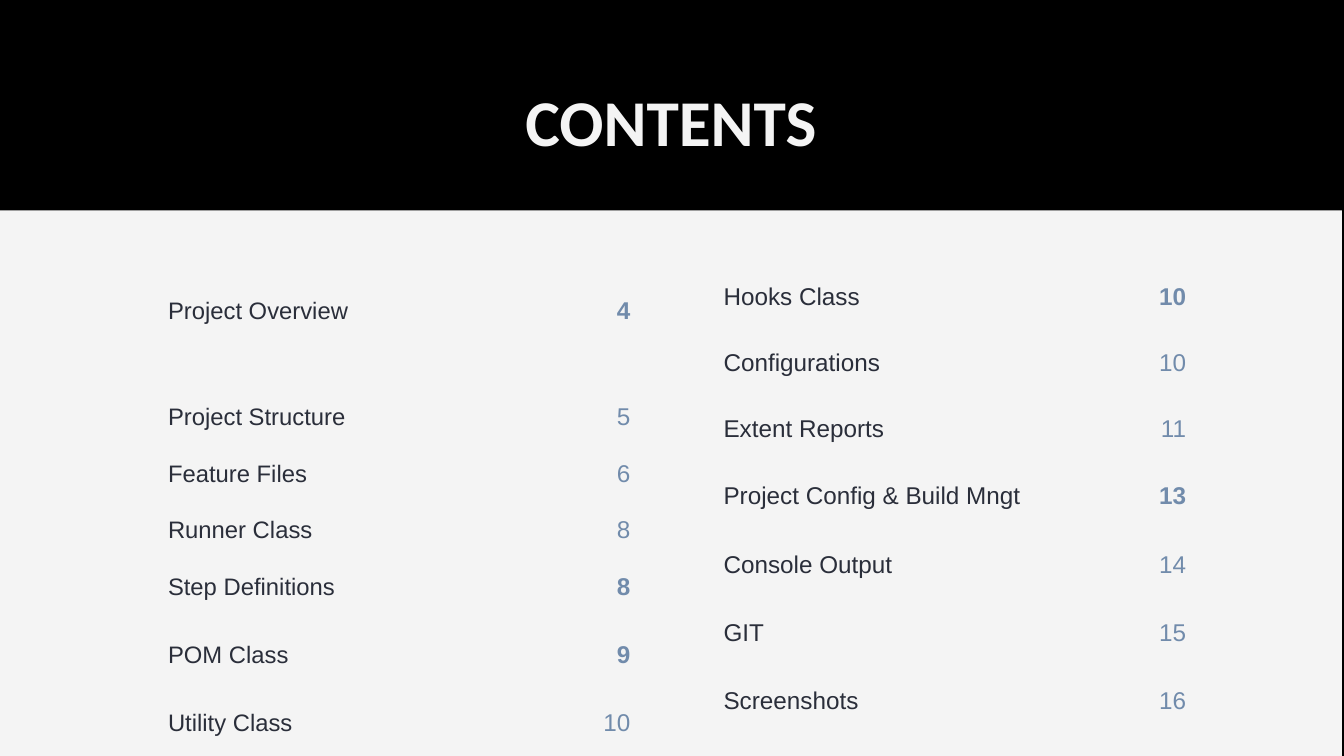
from lxml.etree import SubElement
from pptx import Presentation
from pptx.dml.color import RGBColor
from pptx.enum.shapes import MSO_SHAPE
from pptx.enum.text import MSO_ANCHOR, PP_ALIGN
from pptx.oxml.ns import qn
from pptx.util import Cm, Pt

PANEL = "F4F4F4"
INK = "2A2E3A"
BLUE = "718BAB"
WIDTH = 50.72

LEFT_ROWS = [
    (5.87, [("Project Overview", "4", True)]),
    (1.91, [("Project Structure", "5", False)]),
    (1.91, [("Feature Files", "6", False)]),
    (1.91, [("Runner Class", "8", False)]),
    (6.68, [("Step Definitions", "8", True), ("POM Class", "9", True),
            ("Utility Class", "10", False)]),
]
RIGHT_ROWS = [
    (2.51, [("Hooks Class", "10", True)]),
    (2.51, [("Configurations", "10", False)]),
    (2.51, [("Extent Reports", "11", False)]),
    (2.51, [("Project Config & Build Mngt", "13", True)]),
    (7.87, [("Console Output", "14", False), ("GIT", "15", False),
            ("Screenshots", "16", False)]),
]


def rgb(value):
    """Turn a hex string into a colour."""
    return RGBColor.from_string(value)


def style(p, name, size, color, bold, align, spacing):
    """Format a whole paragraph."""
    p.alignment = align
    p.line_spacing = Pt(spacing)
    p.font.name = name
    p.font.size = Pt(size)
    p.font.bold = bold
    p.font.color.rgb = rgb(color)


def add_title(s, text):
    """Place the slide title in the dark band."""
    sp = s.shapes.title
    sp.left, sp.top, sp.width, sp.height = Cm(0), Cm(2.82), Cm(WIDTH), Cm(3.18)
    tf = sp.text_frame
    tf.margin_left = tf.margin_top = tf.margin_right = tf.margin_bottom = 0
    tf.vertical_anchor = MSO_ANCHOR.TOP
    tf.text = text
    style(tf.paragraphs[0], "Calibri", 70, PANEL, True, PP_ALIGN.CENTER, 91)


def add_panel(s):
    """Draw the light panel below the title band."""
    sp = s.shapes.add_shape(MSO_SHAPE.RECTANGLE, 0, Cm(7.95), Cm(WIDTH), Cm(20.65))
    sp.shadow.inherit = False
    sp.fill.solid()
    sp.fill.fore_color.rgb = rgb(PANEL)
    sp.line.fill.background()


def set_borders(cell, color):
    """Give a cell thin borders on all four sides."""
    tcPr = cell._tc.get_or_add_tcPr()
    for side in ("a:lnL", "a:lnR", "a:lnT", "a:lnB"):
        ln = SubElement(tcPr, qn(side), w=str(Pt(0.75)))
        fill = SubElement(ln, qn("a:solidFill"))
        SubElement(fill, qn("a:srgbClr"), val=color)


def fill_cell(cell, lines, size, color, align):
    """Write (text, bold) lines into a cell, one paragraph each."""
    set_borders(cell, PANEL)
    cell.fill.background()
    cell.vertical_anchor = MSO_ANCHOR.MIDDLE
    cell.margin_left = cell.margin_right = Cm(0.43)
    cell.margin_top = cell.margin_bottom = Cm(0.43)
    tf = cell.text_frame
    for i, (text, bold) in enumerate(lines):
        p = tf.add_paragraph() if i else tf.paragraphs[0]
        p.text = text
        style(p, "Arial", size, color, bold, align, 36.4)
        if i:
            p.space_before = Pt(36.4)


def add_contents(s, left, top, rows, size):
    """Add one table of topics and page numbers."""
    widths = (14.5, 3.84)
    height = sum(h for h, _ in rows)
    table = s.shapes.add_table(len(rows), 2, Cm(left), Cm(top),
                               Cm(sum(widths)), Cm(height)).table
    table.first_row = table.horz_banding = False
    for column, width in zip(table.columns, widths):
        column.width = Cm(width)
    for row, (h, entries) in zip(table.rows, rows):
        row.height = Cm(h)
        topic, page = row.cells
        fill_cell(topic, [(t, False) for t, _, _ in entries], size, INK, PP_ALIGN.LEFT)
        fill_cell(page, [(n, b) for _, n, b in entries], 26, BLUE, PP_ALIGN.RIGHT)


def main():
    """Build the contents slide."""
    prs = Presentation()
    prs.slide_width, prs.slide_height = Cm(50.8), Cm(28.58)
    s = prs.slides.add_slide(prs.slide_layouts[5])
    s.background.fill.solid()
    s.background.fill.fore_color.rgb = rgb("000000")
    add_panel(s)
    add_contents(s, 5.92, 8.69, LEFT_ROWS, 25.5)
    add_contents(s, 26.92, 9.83, RIGHT_ROWS, 26)
    add_title(s, "CONTENTS")
    prs.save("out.pptx")


if __name__ == "__main__":
    main()
